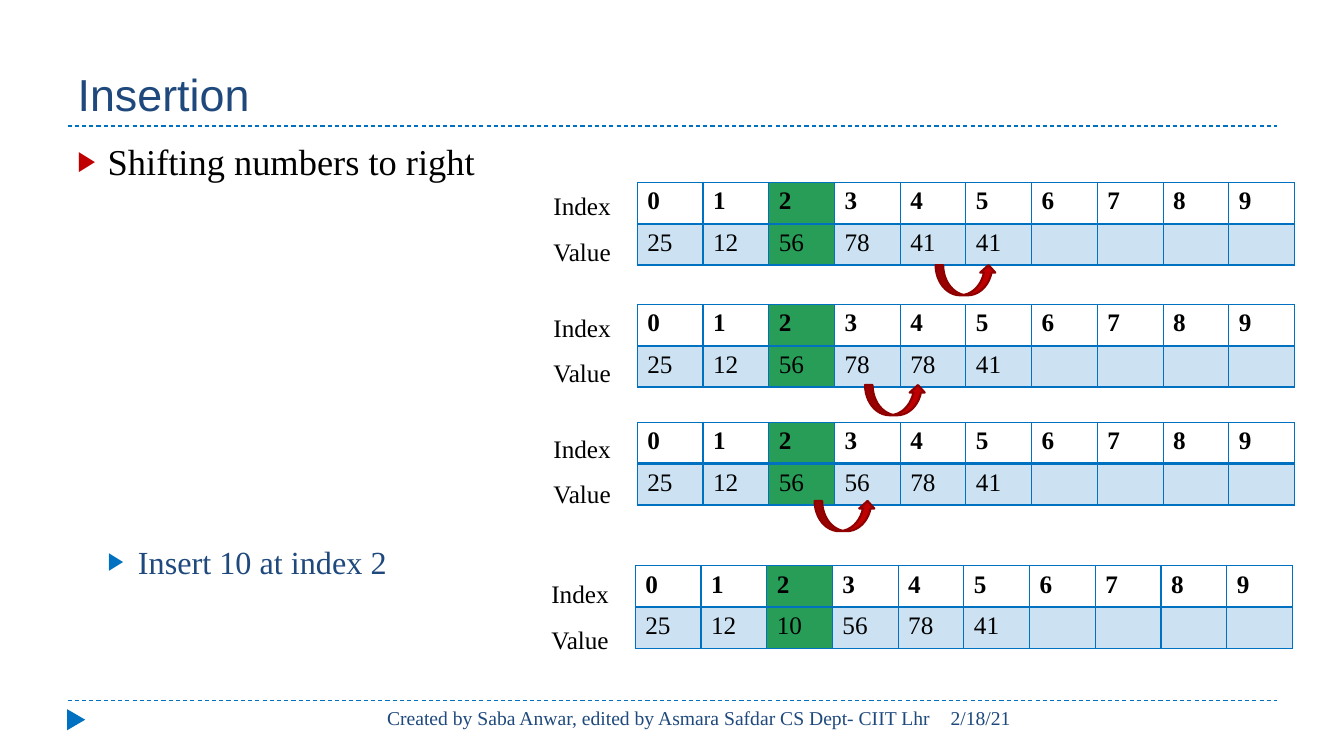
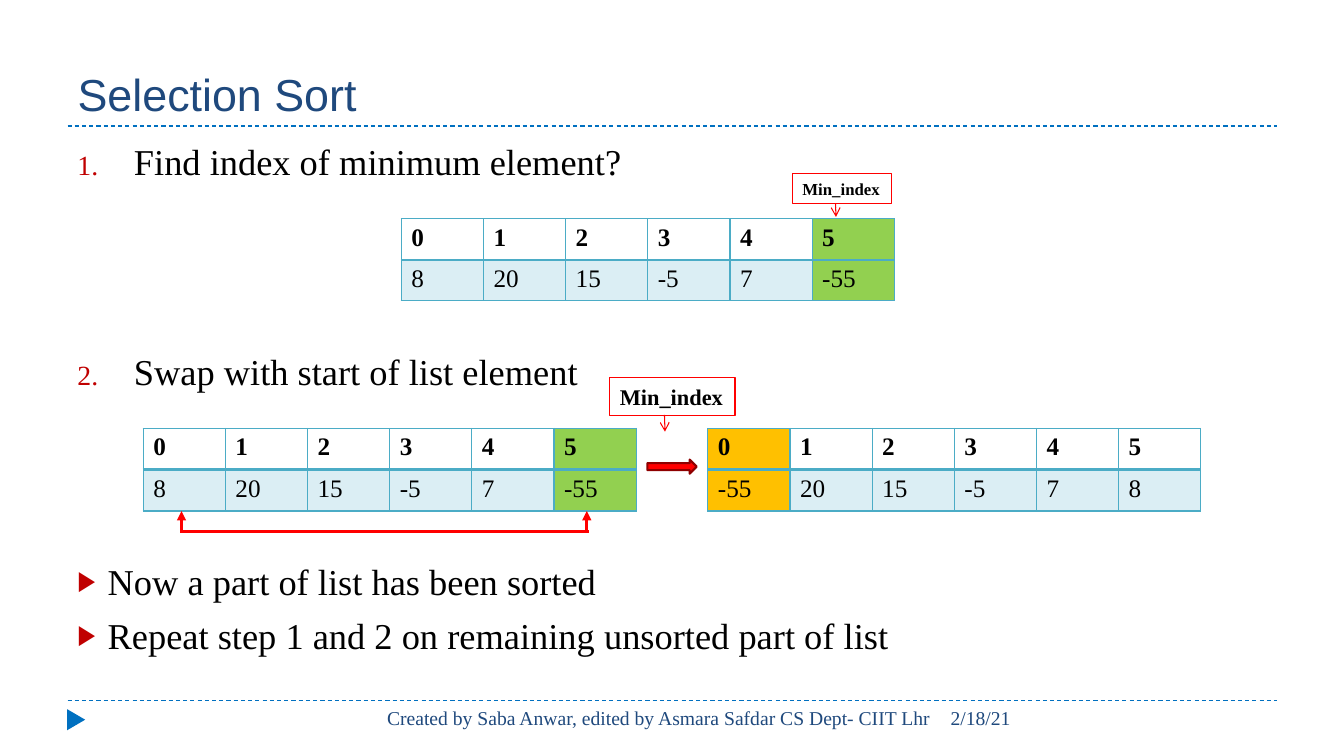
import pptx
import pptx.dml.color
import pptx.enum.dml
import pptx.enum.shapes
import pptx.enum.text
import pptx.oxml.ns
import pptx.util
from lxml import etree

Inches = pptx.util.Inches
Pt = pptx.util.Pt
qn = pptx.oxml.ns.qn
Shape = pptx.enum.shapes.MSO_SHAPE
Align = pptx.enum.text.PP_ALIGN

COLORS = {
    "blue": "0070C0", "pale_blue": "CCE2F2", "navy": "1F497D",
    "teal": "4BACC6", "pale_teal": "DBEEF4", "white": "FFFFFF",
    "black": "000000", "green": "279D57", "lime": "92D050",
    "amber": "FFC000", "crimson": "C00000", "maroon": "8E0000", "red": "FF0000",
}
SERIF = "Times New Roman"
FORMATS = {
    "title": {"name": "Arial", "size": Pt(32), "color": "navy"},
    "footer": {"name": SERIF, "size": Pt(14), "color": "navy"},
    "point": {"name": SERIF, "size": Pt(26), "color": "black"},
    "subpoint": {"name": SERIF, "size": Pt(23), "color": "navy"},
    "label": {"name": SERIF, "size": Pt(18), "color": "black"},
    "header": {"name": SERIF, "size": Pt(18), "color": "black", "bold": True},
    "callout": {"name": SERIF, "size": Pt(16), "color": "black", "bold": True},
    "small_callout": {"name": SERIF, "size": Pt(12), "color": "black", "bold": True},
}
# Text format, left indent, hanging indent, bullet tag, bullet attributes, bullet colour
BULLETS = {
    "point": ("point", 0.3, 0.3, "a:buChar", {"char": "▶"}, "crimson"),
    "subpoint": ("subpoint", 0.6, 0.3, "a:buChar", {"char": "▶"}, "blue"),
    "step": ("point", 0.56, 0.56, "a:buAutoNum", {"type": "arabicPeriod"}, "crimson"),
}
FOOTER = "Created by Saba Anwar, edited by Asmara Safdar CS Dept- CIIT Lhr"
DATE = "2/18/21"


def rgb(name):
    return pptx.dml.color.RGBColor.from_string(COLORS[name])


def inches(*lengths):
    return [Inches(length) for length in lengths]


def write(para, text, style):
    span = para.add_run()
    span.text = text
    for key, value in FORMATS[style].items():
        if key == "color":
            span.font.color.rgb = rgb(value)
        else:
            setattr(span.font, key, value)


def add_text(page, box, lines, style, **para_format):
    frame = page.shapes.add_textbox(*inches(*box)).text_frame
    frame.word_wrap = True
    for index, line in enumerate(lines):
        para = frame.add_paragraph() if index else frame.paragraphs[0]
        for key, value in para_format.items():
            setattr(para, key, value)
        write(para, line, style)


def add_shape(page, kind, box, fill=None, line=None, width=1.5):
    shape = page.shapes.add_shape(kind, *inches(*box))
    shape.shadow.inherit = False
    if fill:
        shape.fill.solid()
        shape.fill.fore_color.rgb = rgb(fill)
    else:
        shape.fill.background()
    if line:
        shape.line.color.rgb = rgb(line)
        shape.line.width = Pt(width)
    else:
        shape.line.fill.background()
    return shape


def add_arrowhead(shape, kind):
    outline = shape.element.spPr.find(qn("a:ln"))
    etree.SubElement(outline, qn("a:tailEnd"), type=kind)


def add_line(shapes, start, end, color, width, dashed=False, head=None):
    line = shapes.add_connector(
        pptx.enum.shapes.MSO_CONNECTOR.STRAIGHT, *inches(*start, *end))
    line.line.color.rgb = rgb(color)
    line.line.width = Pt(width)
    if dashed:
        line.line.dash_style = pptx.enum.dml.MSO_LINE.DASH
    if head:
        add_arrowhead(line, head)
    etree.SubElement(line.element.spPr, qn("a:effectLst"))


def add_page(deck, title):
    """Add a slide with the shared title, rules and footer."""
    page = deck.slides.add_slide(deck.slide_layouts[5])
    for y in (6.95, 1.25):
        add_line(page.shapes, (0.67, y), (12.67, y), "blue", 0.75, dashed=True)
    marker = add_shape(page, Shape.ISOSCELES_TRIANGLE, (0.65, 7.05, 0.21, 0.18), "blue")
    marker.rotation = 90

    holder = page.shapes.title
    holder.left, holder.top, holder.width, holder.height = inches(0.67, 0.17, 12, 1.08)
    frame = holder.text_frame
    frame.auto_size = pptx.enum.text.MSO_AUTO_SIZE.NONE
    frame.vertical_anchor = pptx.enum.text.MSO_ANCHOR.BOTTOM
    frame.paragraphs[0].alignment = Align.LEFT
    write(frame.paragraphs[0], title, "title")

    add_text(page, (2.93, 6.95, 6.4, 0.4), [FOOTER], "footer", alignment=Align.RIGHT)
    add_text(page, (9.33, 6.95, 3.34, 0.4), [DATE], "footer")
    return page


def add_body(page, items):
    """Write bulleted items given as (kind, space before in points, text)."""
    frame = page.shapes.add_textbox(*inches(0.67, 1.33, 12, 5.4)).text_frame
    frame.word_wrap = True
    for index, (kind, gap, text) in enumerate(items):
        style, indent, hanging, tag, attributes, color = BULLETS[kind]
        para = frame.add_paragraph() if index else frame.paragraphs[0]
        props = para._p.get_or_add_pPr()
        props.set("marL", str(Inches(indent)))
        props.set("indent", str(-Inches(hanging)))
        bullet_color = etree.SubElement(props, qn("a:buClr"))
        etree.SubElement(bullet_color, qn("a:srgbClr"), val=COLORS[color])
        etree.SubElement(props, qn("a:buSzPct"), val="76000")
        etree.SubElement(props, qn("a:buFont"), typeface=SERIF)
        etree.SubElement(props, qn(tag), attributes)
        if index:
            para.space_before = Pt(gap)
        write(para, text, style)


def set_borders(cell, color, widths):
    props = cell._tc.get_or_add_tcPr()
    for side, width in widths.items():
        border = etree.SubElement(props, qn("a:ln" + side), w=str(Pt(width)))
        fill = etree.SubElement(border, qn("a:solidFill"))
        etree.SubElement(fill, qn("a:srgbClr"), val=COLORS[color])


def add_array(page, left, top, column, values, line, band, marked, mark,
              value_height=0.41):
    """Draw an array as a row of indexes above a row of values."""
    count = len(values)
    heights = (0.41, value_height)
    table = page.shapes.add_table(
        2, count, *inches(left, top, column * count, sum(heights))).table
    table.first_row = table.horz_banding = False
    for item in table.columns:
        item.width = Inches(column)
    rows = ((range(count), "header", "white", {"L": 1, "R": 1, "T": 1, "B": 2}),
            (values, "label", band, {"L": 1, "R": 1, "T": 2, "B": 1}))
    for row, (texts, style, fill, widths) in enumerate(rows):
        table.rows[row].height = Inches(heights[row])
        for col, text in enumerate(texts):
            cell = table.cell(row, col)
            set_borders(cell, line, widths)
            cell.fill.solid()
            cell.fill.fore_color.rgb = rgb(mark if col == marked else fill)
            if text != "":
                write(cell.text_frame.paragraphs[0], str(text), style)


def add_labelled_array(page, left, top, label_rise, values):
    padded = values + [""] * (10 - len(values))
    add_array(page, left, top, 0.652, padded, "blue", "pale_blue", 2, "green")
    add_text(page, (left - 0.93, top - label_rise, 0.92, 1.01),
             ["Index", "Value"], "label", line_spacing=1.5)


def add_callout(page, box, style):
    callout = add_shape(page, Shape.LINE_CALLOUT_1, box, line="red", width=0.75)
    for index, value in enumerate((0.99, 0.436, 1.442, 0.44)):
        callout.adjustments[index] = value
    add_arrowhead(callout, "arrow")
    frame = callout.text_frame
    frame.word_wrap = False
    frame.paragraphs[0].alignment = Align.LEFT
    write(frame.paragraphs[0], "Min_index", style)


def add_swap_bracket(page, left, top, width, height):
    shapes = page.shapes.add_group_shape().shapes
    bottom = top + height
    add_line(shapes, (left - 0.01, bottom), (left + width + 0.02, bottom), "red", 2.25)
    for x in (left, left + width):
        add_line(shapes, (x, bottom), (x, top), "red", 2.25, head="triangle")


def build_insertion(deck):
    page = add_page(deck, "Insertion")
    add_body(page, [("point", 0, "Shifting numbers to right"),
                    ("subpoint", 257, "Insert 10 at index 2")])
    arrays = (
        (6.32, 1.81, 0.12, [25, 12, 56, 78, 41, 41]),
        (6.32, 3.02, 0.12, [25, 12, 56, 78, 78, 41]),
        (6.32, 4.19, 0.09, [25, 12, 56, 56, 78, 41]),
        (6.3, 5.61, 0.07, [25, 12, 10, 56, 78, 41]),
    )
    for array in arrays:
        add_labelled_array(page, *array)
    for left, top in ((8.08, 4.97), (8.58, 3.82), (9.28, 2.63)):
        add_shape(page, Shape.CURVED_UP_ARROW, (left, top, 0.6, 0.3),
                  "crimson", "maroon")


def build_selection_sort(deck):
    page = add_page(deck, "Selection Sort")
    add_body(page, [
        ("step", 0, "Find index of minimum element?"),
        ("step", 119, "Swap with start of list element"),
        ("point", 119, "Now a part of list has been sorted"),
        ("point", 7, "Repeat step 1 and 2 on remaining unsorted part of list"),
    ])
    unsorted = [8, 20, 15, -5, 7, -55]
    swapped = [-55, 20, 15, -5, 7, 8]
    arrays = (
        (3.98, 2.17, unsorted, 5, "lime", 0.39),
        (7.02, 4.25, swapped, 0, "amber", 0.41),
        (1.42, 4.25, unsorted, 5, "lime", 0.41),
    )
    for left, top, values, marked, mark, height in arrays:
        add_array(page, left, top, 0.815, values, "teal", "pale_teal",
                  marked, mark, height)
    add_callout(page, (6.05, 3.75, 1.24, 0.37), "callout")
    add_swap_bracket(page, 1.8, 5.07, 4.02, 0.2)
    add_shape(page, Shape.RIGHT_ARROW, (6.42, 4.56, 0.49, 0.14), "red", "maroon")
    add_callout(page, (7.86, 1.72, 0.98, 0.3), "small_callout")


def main():
    deck = pptx.Presentation()
    deck.slide_width, deck.slide_height = inches(13.33, 7.5)
    build_insertion(deck)
    build_selection_sort(deck)
    deck.save("out.pptx")


if __name__ == "__main__":
    main()
